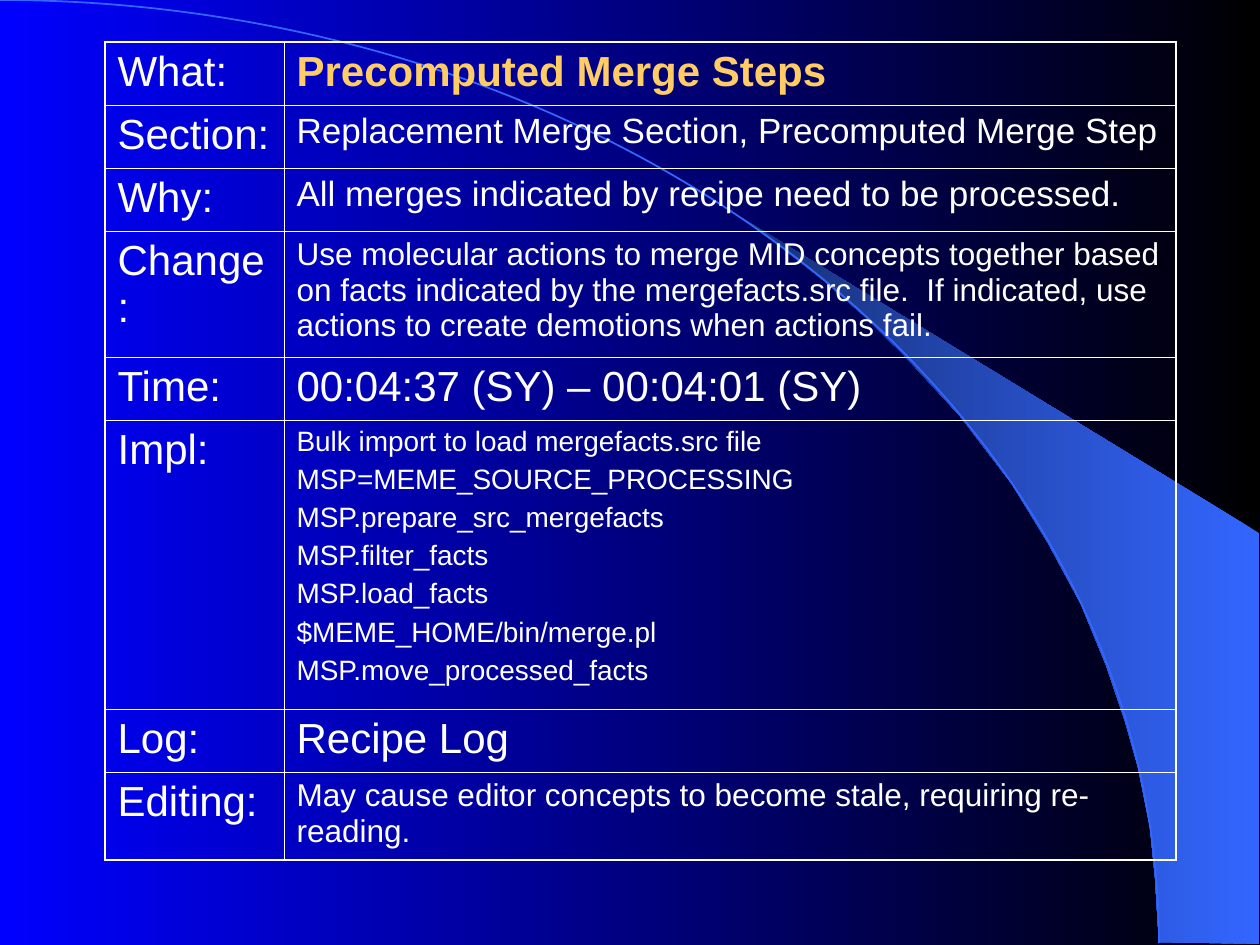
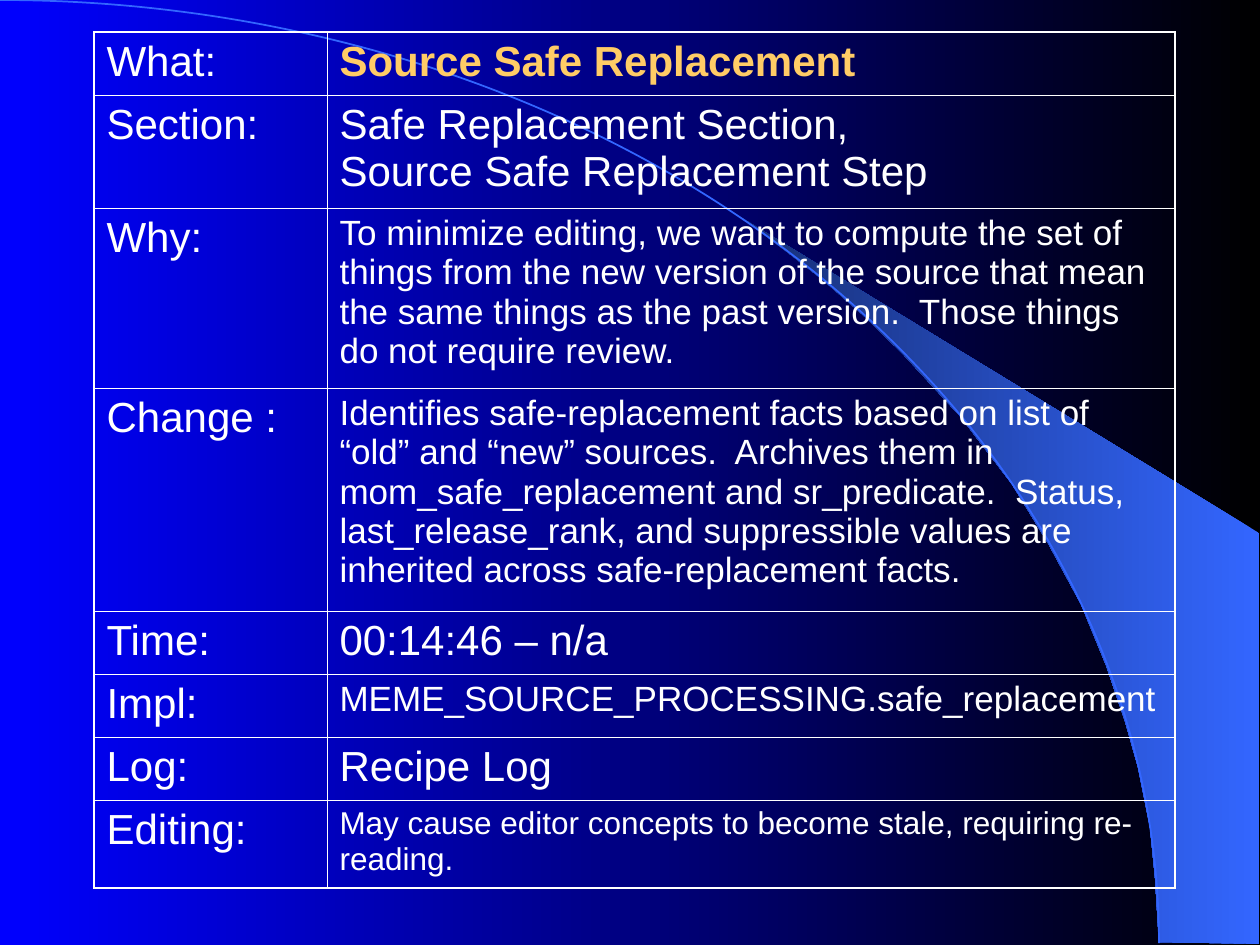
"""Builds two slides of recipe step tables over a shared blue backdrop."""
from lxml.etree import SubElement
from pptx import Presentation
from pptx.dml.color import RGBColor
from pptx.enum.shapes import MSO_SHAPE
from pptx.oxml.ns import qn
from pptx.util import Emu, Pt

SCALE = 914400 / 126
FONT = "Arial"
WHITE, GOLD, BLACK, BLUE = "FFFFFF", "FFCC66", "000000", "0000FF"
SWEEP_BLUE, SWEEP_NAVY = "3366FF", "172F75"
LABEL_SIZE, OUTER_LINE, INNER_LINE = 24, 1.08, 0.45

SWEEP = [
    (1159, 942), (1259, 944), (1259, 533), (742, 218), (786, 251), (823, 280),
    (863, 315), (902, 353), (960, 416), (1012, 484), (1048, 543), (1081, 604),
    (1106, 665), (1125, 721), (1138, 767), (1150, 827), (1155, 877),
]
HORIZON = (-1159, 0, 2318, 1886)

RECIPE_LOG = ("Log:", 63, 24, ["Recipe Log"])
STALE_WARNING = ("Editing:", 88, 18, [
    "May cause editor concepts to become stale, requiring re-reading."])

STEPS = [
    {
        "corner": (105, 42),
        "columns": (179, 892),
        "rows": [
            ("What:", 63, 24, ["Precomputed Merge Steps"]),
            ("Section:", 63, 20, ["Replacement Merge Section, Precomputed Merge Step"]),
            ("Why:", 63, 20, ["All merges indicated by recipe need to be processed."]),
            ("Change :", 126, 18, [
                "Use molecular actions to merge MID concepts together based on facts "
                "indicated by the mergefacts.src file.  If indicated, use actions to "
                "create demotions when actions fail."]),
            ("Time:", 63, 24, ["00:04:37 (SY) – 00:04:01 (SY)"]),
            ("Impl:", 289, 16, [
                "Bulk import to load mergefacts.src file",
                "MSP=MEME_SOURCE_PROCESSING",
                "MSP.prepare_src_mergefacts",
                "MSP.filter_facts",
                "MSP.load_facts",
                "$MEME_HOME/bin/merge.pl",
                "MSP.move_processed_facts"]),
            RECIPE_LOG,
            STALE_WARNING,
        ],
    },
    {
        "corner": (94, 32),
        "columns": (233, 848),
        "rows": [
            ("What:", 63, 24, ["Source Safe Replacement"]),
            ("Section:", 113, 24, [
                "Safe Replacement Section, \nSource Safe Replacement Step"]),
            ("Why:", 180, 20, [
                "To minimize editing, we want to compute the set of things from the "
                "new version of the source that mean the same things as the past "
                "version.  Those things do not require review."]),
            ("Change :", 223, 20, [
                "Identifies safe-replacement facts based on list of “old” and “new” "
                "sources.  Archives them in mom_safe_replacement and sr_predicate.  "
                "Status, last_release_rank, and suppressible values are inherited "
                "across safe-replacement facts."]),
            ("Time:", 63, 24, ["00:14:46 – n/a"]),
            ("Impl:", 63, 20, ["MEME_SOURCE_PROCESSING.safe_replacement"]),
            RECIPE_LOG,
            STALE_WARNING,
        ],
    },
]


def px(length):
    return Emu(round(length * SCALE))


def rgb(colour):
    return RGBColor.from_string(colour)


def shade(fill, right, left):
    fill.gradient()
    fill.gradient_angle = 180
    for stop, position, colour in zip(fill.gradient_stops, (0, 1), (right, left)):
        stop.position = position
        stop.color.rgb = rgb(colour)


def add_backdrop(master, slide):
    shade(master.background.fill, BLACK, BLUE)

    outline = slide.shapes.build_freeform(*SWEEP[0], scale=SCALE)
    outline.add_line_segments(SWEEP[1:], close=True)
    sweep = outline.convert_to_shape()
    shade(sweep.fill, SWEEP_BLUE, SWEEP_NAVY)
    sweep.line.fill.background()

    horizon = slide.shapes.add_shape(MSO_SHAPE.ARC, *map(px, HORIZON))
    horizon.fill.background()
    horizon.line.color.rgb = rgb(SWEEP_BLUE)
    horizon.line.width = Pt(0.99)

    for number, part in enumerate((sweep, horizon), 101):
        part.shadow.inherit = False
        part.element.nvSpPr.cNvPr.id = number
        master.shapes.element.append(part.element)


def write(cell, lines, size, colour=WHITE, bold=False):
    frame = cell.text_frame
    for index, line in enumerate(lines):
        paragraph = frame.add_paragraph() if index else frame.paragraphs[0]
        paragraph.text = line
        paragraph.space_before = Pt(size / 4)
        for run in paragraph.runs:
            run.font.name = FONT
            run.font.size = Pt(size)
            run.font.bold = bold
            run.font.color.rgb = rgb(colour)


def rule_cell(cell, outer_sides):
    cell.fill.background()
    properties = cell._tc.get_or_add_tcPr()
    for index, side in enumerate("LRTB"):
        width = OUTER_LINE if side in outer_sides else INNER_LINE
        edge = SubElement(properties, qn(f"a:ln{side}"), w=str(Pt(width)))
        SubElement(SubElement(edge, qn("a:solidFill")), qn("a:srgbClr"), val=WHITE)
        properties.insert(index, edge)


def add_step_table(slide, step):
    rows, columns = step["rows"], step["columns"]
    extent = (sum(columns), sum(height for _, height, _, _ in rows))
    table = slide.shapes.add_table(
        len(rows), len(columns), *map(px, step["corner"] + extent)).table
    table.first_row = table.horz_banding = False
    for column, width in zip(table.columns, columns):
        column.width = px(width)
    for index, (label, height, size, lines) in enumerate(rows):
        table.rows[index].height = px(height)
        label_cell, detail_cell = table.rows[index].cells
        write(label_cell, [label], LABEL_SIZE)
        write(detail_cell, lines, size, WHITE if index else GOLD, bold=index == 0)
        ends = ("T" if index == 0 else "") + ("B" if index == len(rows) - 1 else "")
        rule_cell(label_cell, "L" + ends)
        rule_cell(detail_cell, "R" + ends)


deck = Presentation()
deck.slide_width, deck.slide_height = px(1260), px(945)
blank = deck.slide_layouts[6]
slides = [deck.slides.add_slide(blank) for _ in STEPS]
add_backdrop(deck.slide_master, slides[0])
for slide, step in zip(slides, STEPS):
    add_step_table(slide, step)
deck.save("out.pptx")
